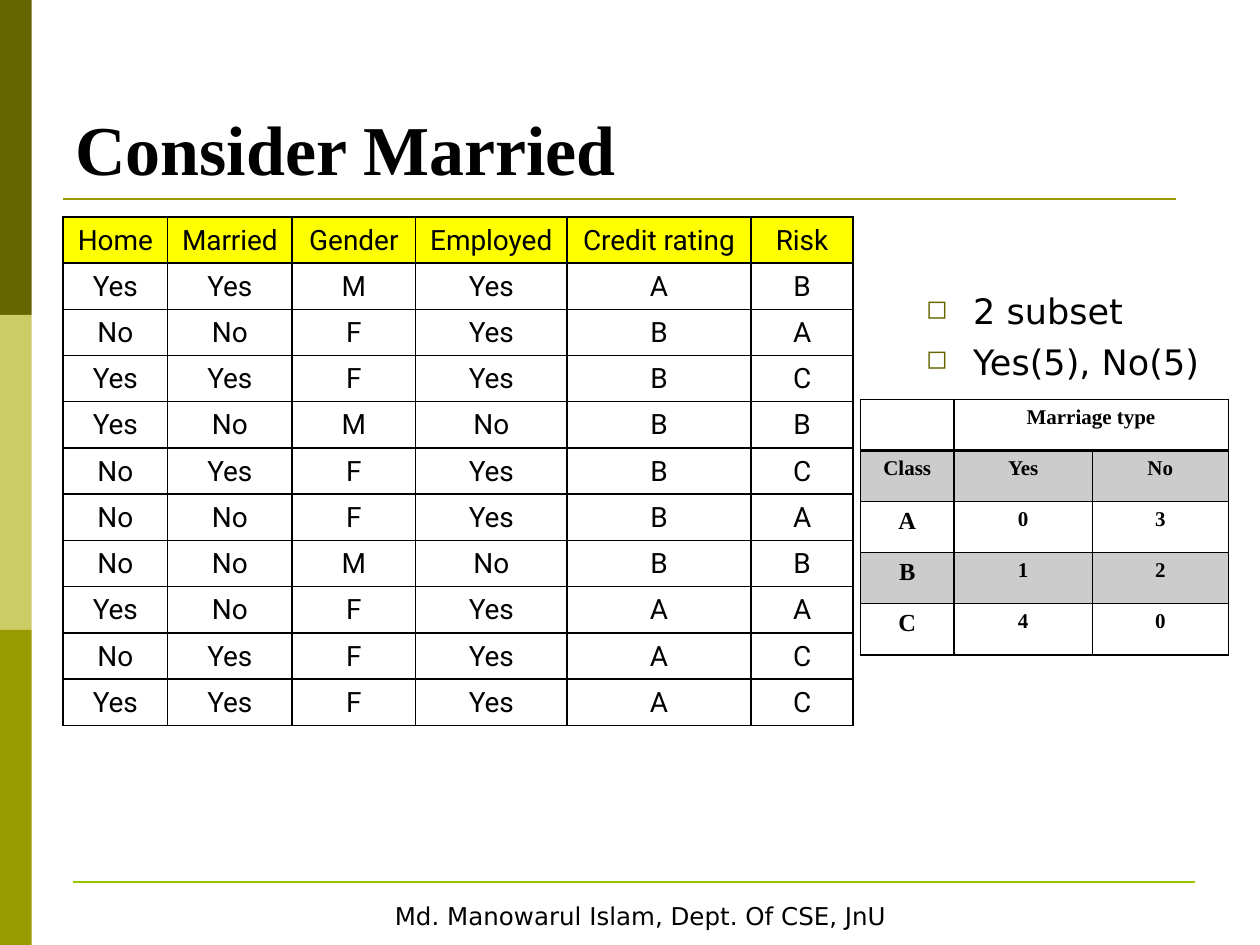
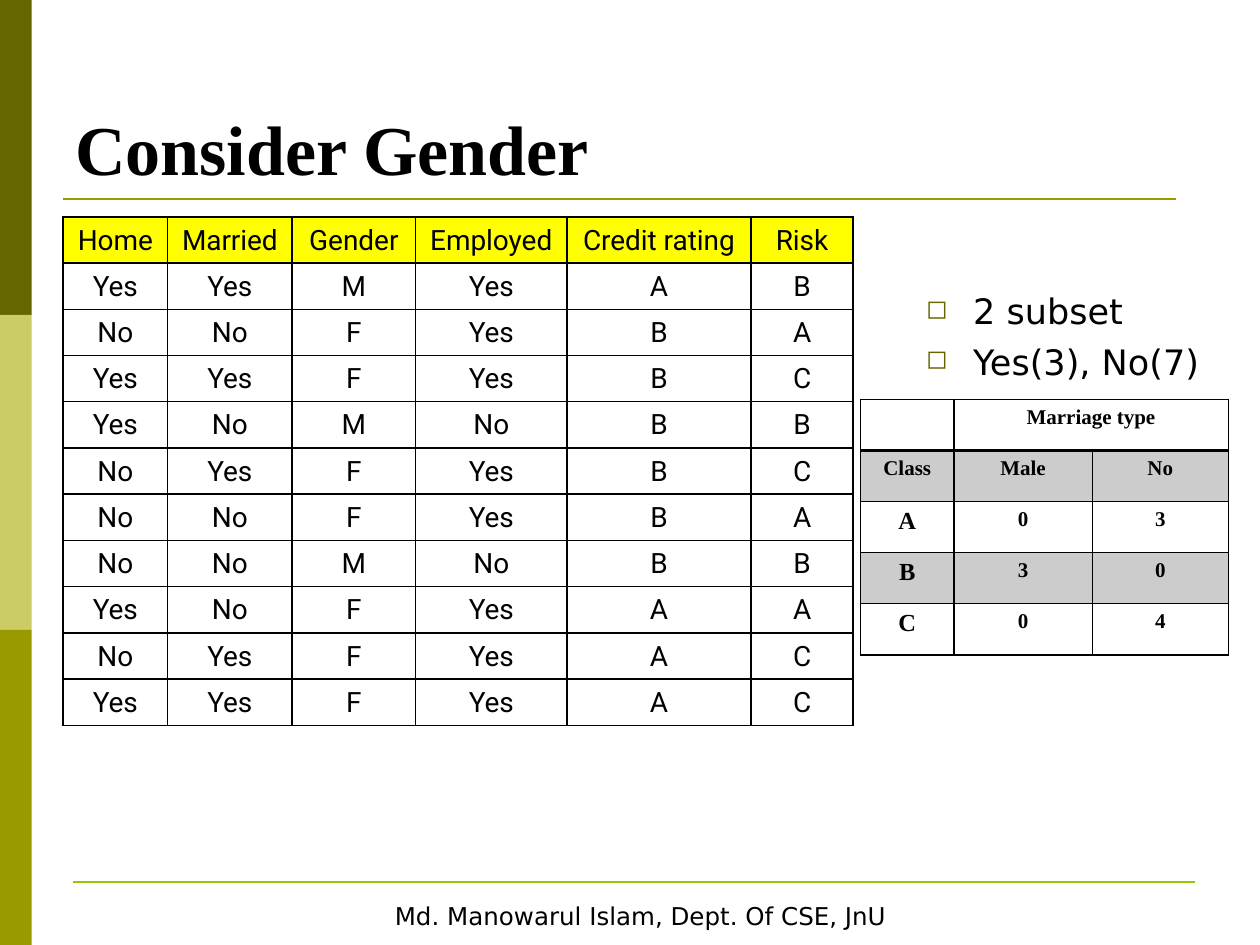
from lxml import etree
from pptx import Presentation
from pptx import util as u
from pptx.dml.color import RGBColor
from pptx.enum import shapes, text
from pptx.oxml import ns

BLACK = RGBColor(0x00, 0x00, 0x00)
WHITE = RGBColor(0xFF, 0xFF, 0xFF)
DARK_OLIVE = RGBColor(0x66, 0x66, 0x00)
PALE_OLIVE = RGBColor(0xCC, 0xCC, 0x66)
OLIVE = RGBColor(0x99, 0x99, 0x00)
LIME = RGBColor(0x96, 0xC8, 0x00)
YELLOW = RGBColor(0xFF, 0xFF, 0x00)
GRAY = RGBColor(0xCC, 0xCC, 0xCC)

SANS, SERIF, RECORD_FONT = "DejaVu Sans", "Times New Roman", "Roboto"
TOP, BOTTOM = text.MSO_ANCHOR.TOP, text.MSO_ANCHOR.BOTTOM
CENTER, LEFT = text.PP_ALIGN.CENTER, text.PP_ALIGN.LEFT

BAND_WIDTH, BAND_HEIGHT = 0.64, 6.35
FOOTER = "Md. Manowarul Islam, Dept. Of CSE, JnU"

RECORDS = [row.split(",") for row in (
    "Home,Married,Gender,Employed,Credit rating,Risk",
    "Yes,Yes,M,Yes,A,B",
    "No,No,F,Yes,B,A",
    "Yes,Yes,F,Yes,B,C",
    "Yes,No,M,No,B,B",
    "No,Yes,F,Yes,B,C",
    "No,No,F,Yes,B,A",
    "No,No,M,No,B,B",
    "Yes,No,F,Yes,A,A",
    "No,Yes,F,Yes,A,C",
    "Yes,Yes,F,Yes,A,C",
)]
RECORD_COLUMNS = [2.11, 2.51, 2.49, 3.05, 3.71, 2.06]
COUNT_COLUMNS = [1.88, 2.79, 2.74]

SPLITS = [
    ("Consider Married", ["2 subset", "Yes(5), No(5)"],
     [["Class", "Yes", "No"], ["A", "0", "3"], ["B", "1", "2"], ["C", "4", "0"]]),
    ("Consider Gender", ["2 subset", "Yes(3), No(7)"],
     [["Class", "Male", "No"], ["A", "0", "3"], ["B", "3", "0"], ["C", "0", "4"]]),
]


def add_bullet(paragraph):
    props = paragraph._p.get_or_add_pPr()
    props.set("marL", str(u.Cm(0.95)))
    props.set("indent", str(-u.Cm(0.95)))
    color = etree.SubElement(props, ns.qn("a:buClr"))
    etree.SubElement(color, ns.qn("a:srgbClr"), val=str(DARK_OLIVE))
    etree.SubElement(props, ns.qn("a:buSzPct"), val="75000")
    etree.SubElement(props, ns.qn("a:buChar"), char="◻")


def write(frame, lines, font=SANS, size=14, bold=False, align=LEFT,
          bulleted=False, gap=0):
    for index, line in enumerate(lines):
        paragraph = frame.add_paragraph() if index else frame.paragraphs[0]
        paragraph.alignment = align
        if index:
            paragraph.space_before = u.Pt(gap)
        if bulleted:
            add_bullet(paragraph)
        run = paragraph.add_run()
        run.text = line
        run.font.name = font
        run.font.size = u.Pt(size)
        run.font.bold = bold
        run.font.color.rgb = BLACK


def add_text(slide, left, top, width, height, lines, anchor=TOP, **style):
    frame = slide.shapes.add_textbox(
        u.Cm(left), u.Cm(top), u.Cm(width), u.Cm(height)).text_frame
    frame.word_wrap = True
    frame.vertical_anchor = anchor
    write(frame, lines, **style)


def add_block(slide, left, top, width, height, color):
    block = slide.shapes.add_shape(
        shapes.MSO_SHAPE.RECTANGLE,
        u.Cm(left), u.Cm(top), u.Cm(width), u.Cm(height))
    block.shadow.inherit = False
    block.fill.solid()
    block.fill.fore_color.rgb = color
    block.line.fill.background()
    return block


def add_rule(slide, left, right, y, color):
    rule = slide.shapes.add_connector(
        shapes.MSO_CONNECTOR.STRAIGHT, u.Cm(left), u.Cm(y), u.Cm(right), u.Cm(y))
    rule.line.color.rgb = color
    rule.line.width = u.Pt(1.5)
    etree.SubElement(rule._element.spPr, ns.qn("a:effectLst"))


def set_borders(cell, **widths):
    props = cell._tc.get_or_add_tcPr()
    for position, side in enumerate("LRTB"):
        border = etree.Element(ns.qn(f"a:ln{side}"),
                               w=str(u.Pt(widths.get(side, 1))))
        fill = etree.SubElement(border, ns.qn("a:solidFill"))
        etree.SubElement(fill, ns.qn("a:srgbClr"), val=str(BLACK))
        props.insert(position, border)


def add_grid(slide, left, top, columns, row_height, row_count):
    grid = slide.shapes.add_table(
        row_count, len(columns), u.Cm(left), u.Cm(top),
        u.Cm(sum(columns)), u.Cm(row_height * row_count)).table
    grid.first_row = grid.horz_banding = False
    for column, width in zip(grid.columns, columns):
        column.width = u.Cm(width)
    for row in grid.rows:
        row.height = u.Cm(row_height)
    return grid


def fill_cell(cell, content, color, anchor=TOP, borders=None, **style):
    if color is None:
        cell.fill.background()
    else:
        cell.fill.solid()
        cell.fill.fore_color.rgb = color
    cell.vertical_anchor = anchor
    set_borders(cell, **(borders or {}))
    if content:
        write(cell.text_frame, [content], align=CENTER, **style)


def add_records(slide):
    grid = add_grid(slide, 1.27, 4.37, RECORD_COLUMNS, 0.91, len(RECORDS))
    for r, record in enumerate(RECORDS):
        for c, value in enumerate(record):
            fill_cell(grid.cell(r, c), value, None if r else YELLOW,
                      anchor=BOTTOM, font=RECORD_FONT, size=16)


def add_counts(slide, counts):
    rows = [["", "Marriage type", ""]] + counts
    grid = add_grid(slide, 17.35, 8.05, COUNT_COLUMNS, 1.03, len(rows))
    grid.cell(0, 1).merge(grid.cell(0, 2))
    heading_borders = {0: {"B": 2}, 1: {"T": 2}}
    for r, row in enumerate(rows):
        for c, value in enumerate(row):
            fill_cell(grid.cell(r, c), value, GRAY if r % 2 else None,
                      borders=heading_borders.get(r), font=SERIF, bold=True,
                      size=14 if r > 1 and c == 0 else 12)


def add_frame(slide):
    for index, color in enumerate((DARK_OLIVE, PALE_OLIVE, OLIVE)):
        add_block(slide, 0, index * BAND_HEIGHT, BAND_WIDTH, BAND_HEIGHT, color)
    add_rule(slide, 1.27, 23.7, 4.01, OLIVE)
    add_rule(slide, 1.47, 24.08, 17.78, LIME)
    footer = add_block(slide, 1.27, 18.03, 23.29, 0.89, WHITE).text_frame
    footer.word_wrap = False
    footer.vertical_anchor = TOP
    write(footer, [FOOTER], align=CENTER)


def add_split_slide(deck, title, subsets, counts):
    slide = deck.slides.add_slide(deck.slide_layouts[6])
    add_frame(slide)
    add_text(slide, 18.42, 5.72, 6.55, 2.34, subsets,
             size=20, bulleted=True, gap=4.7)
    add_records(slide)
    add_text(slide, 1.27, 0.76, 22.86, 3.18, [title],
             anchor=BOTTOM, font=SERIF, size=40, bold=True)
    add_counts(slide, counts)


def main():
    deck = Presentation()
    deck.slide_width = u.Cm(25.4)
    deck.slide_height = u.Cm(19.05)
    for split in SPLITS:
        add_split_slide(deck, *split)
    deck.save("out.pptx")


if __name__ == "__main__":
    main()
